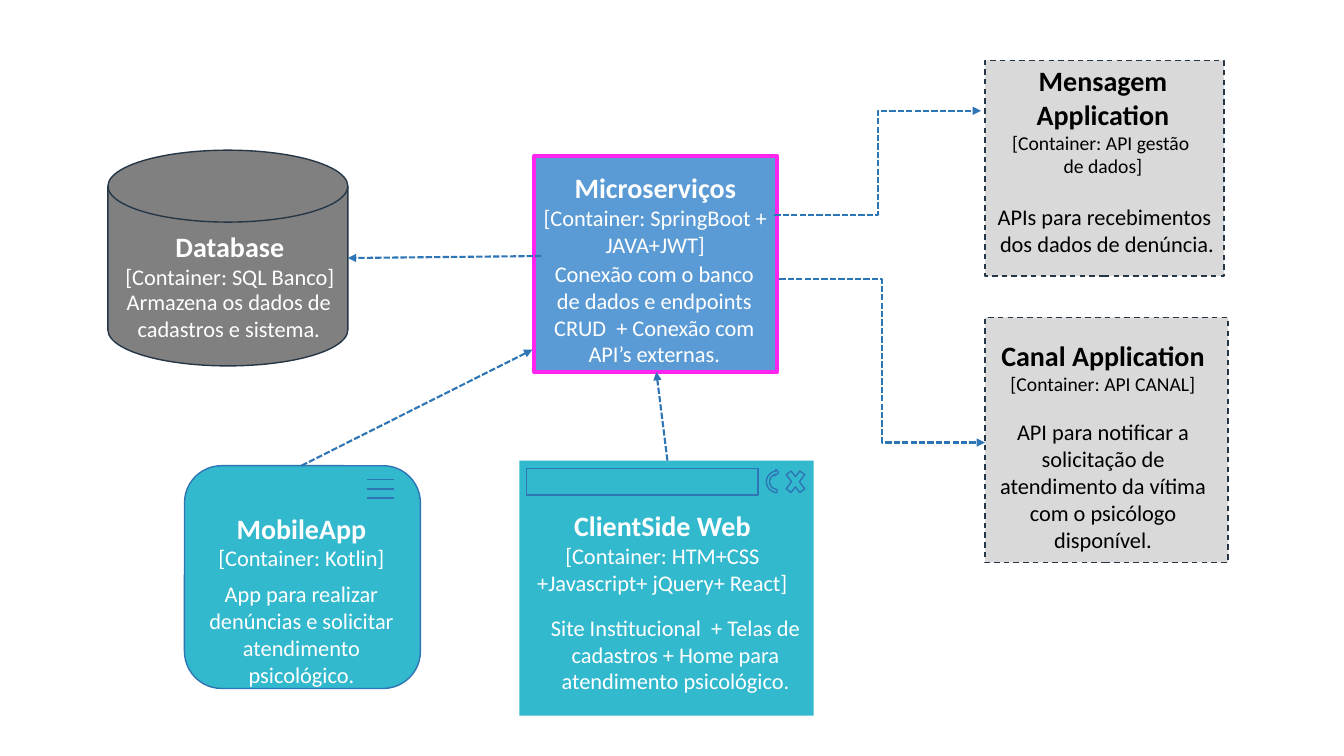
from lxml.etree import SubElement
from pptx import Presentation
from pptx.dml.color import RGBColor
from pptx.enum.dml import MSO_LINE as DASH
from pptx.enum.shapes import MSO_CONNECTOR as CONN, MSO_SHAPE as SHAPE
from pptx.enum.text import MSO_AUTO_SIZE as FIT, PP_ALIGN as ALIGN
from pptx.oxml.ns import qn
from pptx.util import Inches, Pt

COLS, ROWS = 13.33, 7.5  # one-inch grid
FONT = "Calibri"
BLUE, NAVY, TEAL, GRAY = "2E75B6", "253746", "32B9CD", "D9D9D9"
WHITE, BLACK = "FFFFFF", "000000"


def grid(*cells):
    return [Inches(c) for c in cells]


def color(value):
    return RGBColor.from_string(value)


def style_line(line, value, width, dash=None):
    line.color.rgb = color(value)
    line.width = Pt(width)
    if dash:
        line.dash_style = dash


def box(s, kind, at, fill=None, line=None, width=1, dash=None, rotation=0):
    sp = s.shapes.add_shape(kind, *grid(*at))
    sp.shadow.inherit = False
    sp.rotation = rotation
    if fill:
        sp.fill.solid()
        sp.fill.fore_color.rgb = color(fill)
    else:
        sp.fill.background()
    if line:
        style_line(sp.line, line, width, dash)
    else:
        sp.line.fill.background()
    return sp


def connect(s, start, end, kind=CONN.STRAIGHT, width=1, dash=None, arrow=False):
    cx = s.shapes.add_connector(kind, *grid(*start, *end))
    style_line(cx.line, BLUE, width, dash)
    props = cx._element.spPr
    if arrow:
        SubElement(props.find(qn("a:ln")), qn("a:tailEnd"), type="triangle")
    SubElement(props, qn("a:effectLst"))


def flow(s, start, end, kind=CONN.STRAIGHT):
    connect(s, start, end, kind, width=1.5, dash=DASH.SQUARE_DOT, arrow=True)


def add_line(p, text, size=16, bold=False, ink=WHITE):
    p.alignment = ALIGN.CENTER
    r = p.add_run()
    r.text = text
    r.font.name, r.font.size, r.font.bold = FONT, Pt(size), bold
    r.font.color.rgb = color(ink)


def text_box(s, at, lines, ink=WHITE):
    """Each line is a (text, format) pair."""
    tf = s.shapes.add_textbox(*grid(*at)).text_frame
    tf.word_wrap = True
    tf.auto_size = FIT.SHAPE_TO_FIT_TEXT
    for i, (text, fmt) in enumerate(lines):
        p = tf.add_paragraph() if i else tf.paragraphs[0]
        add_line(p, text, ink=ink, **fmt)


def label(s, head_at, name, tech, body_at, body, ink=WHITE, tech_size=16):
    """Heading with its container type, then the description."""
    heading = [(name, dict(size=20, bold=True))]
    heading += [(t, dict(size=tech_size)) for t in tech]
    text_box(s, head_at, heading, ink)
    text_box(s, body_at, [(t, {}) for t in body], ink)


def database(s):
    box(s, SHAPE.FLOWCHART_MAGNETIC_DISK, (1.07, 1.49, 2.38, 2.14), "808080", NAVY)
    label(s, (0.98, 2.23, 2.6, 0.62), "Database", ["[Container: SQL Banco]"],
          (0.97, 2.81, 2.6, 0.56), ["Armazena os dados de cadastros e sistema."])


def microservices(s):
    box(s, SHAPE.RECTANGLE, (5.3, 1.55, 2.41, 2.14), "5B9BD5", "FF25EF", width=3)
    label(s, (5.2, 1.64, 2.6, 0.95), "Microserviços",
          ["[Container: SpringBoot + JAVA+JWT]"], (5.32, 2.53, 2.34, 1.14),
          ["Conexão com o banco de dados e endpoints CRUD  + Conexão com API’s externas."])


def web_client(s):
    box(s, SHAPE.RECTANGLE, (5.15, 4.57, 2.92, 2.53), TEAL)
    # Browser bar: address field, close and reload icons
    box(s, SHAPE.RECTANGLE, (5.22, 4.65, 2.3, 0.26), line=BLUE)
    box(s, SHAPE.MATH_MULTIPLY, (7.76, 4.61, 0.26, 0.34), line=BLUE)
    box(s, SHAPE.CIRCULAR_ARROW, (7.59, 4.65, 0.25, 0.26), line=BLUE, rotation=275)
    label(s, (5.05, 5, 3.04, 1.12), "ClientSide Web",
          ["[Container: HTM+CSS +Javascript+ jQuery+ React]"], (5.18, 6.04, 3.04, 1.04),
          ["Site Institucional  + Telas de cadastros + Home para atendimento psicológico."])


def mobile_app(s):
    box(s, SHAPE.ROUNDED_RECTANGLE, (1.83, 4.62, 2.34, 2.21), TEAL, BLUE)
    # Menu icon
    for i in range(3):
        y = 4.76 + 0.09 * i
        connect(s, (3.64, y), (3.91, y))
    label(s, (1.69, 5.02, 2.6, 0.68), "MobileApp", ["[Container: Kotlin]"],
          (1.82, 5.71, 2.34, 0.88),
          ["App para realizar denúncias e solicitar atendimento psicológico."])


def external_api(s, at, *texts):
    box(s, SHAPE.RECTANGLE, at, GRAY, NAVY, dash=DASH.DASH)
    label(s, *texts, ink=BLACK, tech_size=14)


def main():
    prs = Presentation()
    prs.slide_width, prs.slide_height = grid(COLS, ROWS)
    s = prs.slides.add_slide(prs.slide_layouts[6])

    # Containers
    database(s)
    microservices(s)
    web_client(s)
    mobile_app(s)
    external_api(s, (9.77, 0.6, 2.37, 2.14), (9.64, 0.58, 2.6, 1.25),
                 "Mensagem Application", ["[Container: API gestão ", "de dados]"],
                 (9.68, 1.97, 2.6, 0.62),
                 ["APIs para recebimentos ", "dos dados de denúncia."])
    external_api(s, (9.77, 3.15, 2.41, 2.43), (9.64, 3.31, 2.6, 0.65),
                 "Canal Application", ["[Container: API CANAL]"],
                 (9.64, 4.1, 2.6, 1.14),
                 ["API para notificar a solicitação de atendimento da vítima "
                  "com o psicólogo disponível."])

    # Data flows
    flow(s, (5.37, 2.54), (3.45, 2.56))
    flow(s, (2.99, 4.62), (5.28, 3.47))
    flow(s, (6.62, 4.57), (6.51, 3.69))
    flow(s, (7.68, 2.13), (9.73, 1.1), CONN.ELBOW)
    flow(s, (7.73, 2.77), (9.77, 4.39), CONN.ELBOW)

    prs.save("out.pptx")


main()
